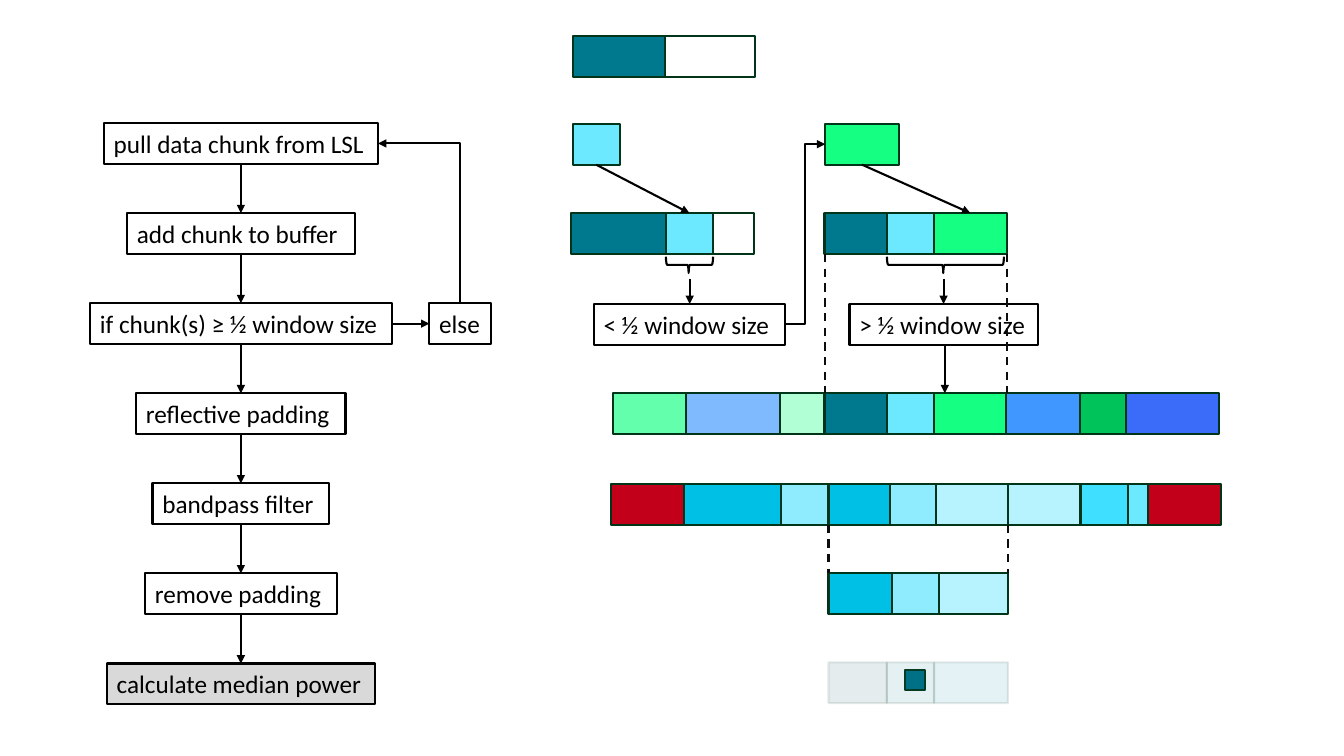
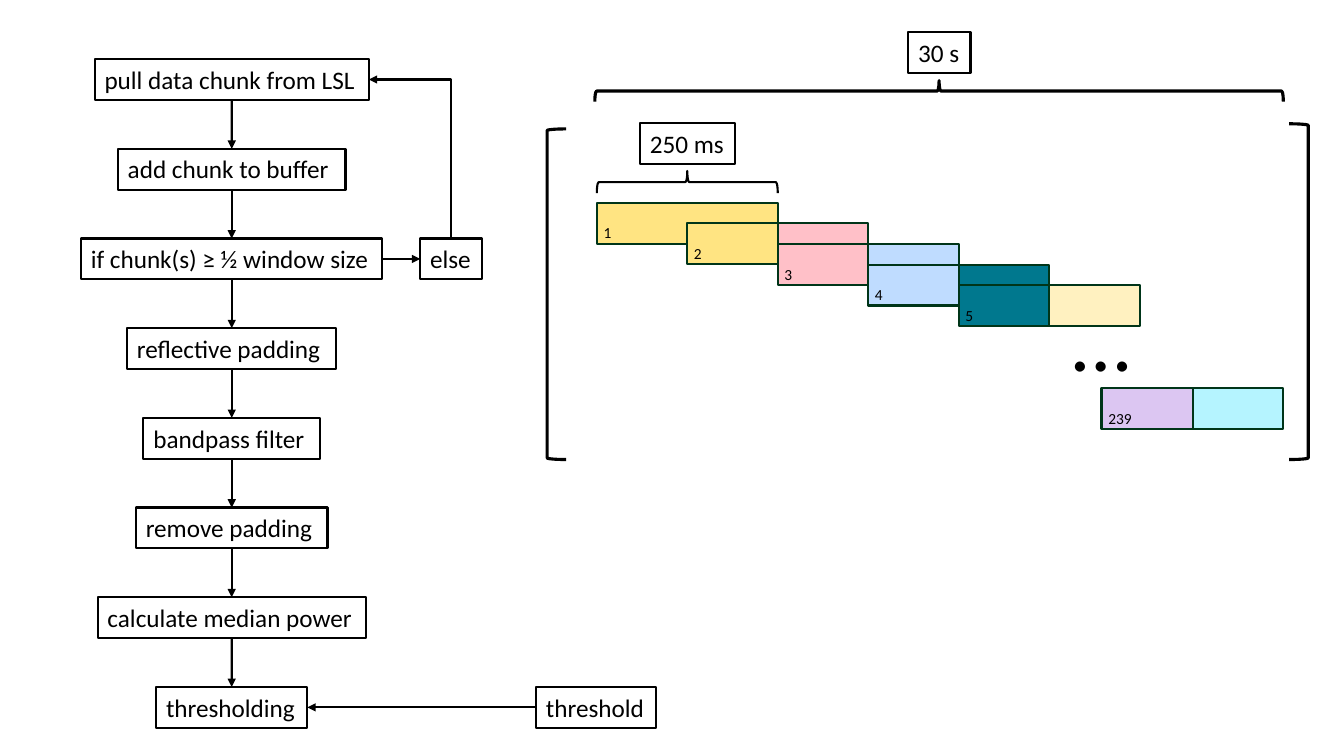
from dataclasses import dataclass
from itertools import pairwise
from typing import NamedTuple

from pptx import Presentation
from pptx.dml.color import RGBColor
from pptx.enum.dml import MSO_LINE
from pptx.enum.shapes import MSO_CONNECTOR, MSO_SHAPE
from pptx.enum.text import MSO_ANCHOR, PP_ALIGN
from pptx.oxml.ns import qn
from pptx.shapes.autoshape import Shape
from pptx.shapes.connector import Connector
from pptx.slide import Slide
from pptx.util import Cm, Pt
from lxml import etree

RECTANGLE = MSO_SHAPE.RECTANGLE
LEFT_BRACE, RIGHT_BRACE = MSO_SHAPE.LEFT_BRACE, MSO_SHAPE.RIGHT_BRACE
LEFT_BRACKET, RIGHT_BRACKET = MSO_SHAPE.LEFT_BRACKET, MSO_SHAPE.RIGHT_BRACKET
STRAIGHT, ELBOW = MSO_CONNECTOR.STRAIGHT, MSO_CONNECTOR.ELBOW
TOP, LEFT, BOTTOM, RIGHT = range(4)  # connection sites of a rectangle


@dataclass(frozen=True)
class Theme:
    font: str = "Calibri"
    body_size: float = 18
    label_size: float = 11
    dots_size: float = 60
    thin: float = 1.5
    thick: float = 2.25
    black: str = "000000"
    dash: str = "0D0D0D"
    edge: str = "003519"
    white: str = "FFFFFF"
    grey: str = "D9D9D9"
    teal: str = "00788E"
    cyan: str = "6CE8FF"
    green: str = "15FF82"
    deep_cyan: str = "00C0E6"
    soft_cyan: str = "8FECFF"
    pale_cyan: str = "B7F3FF"
    red: str = "C20019"
    dot: str = "007086"
    windows: tuple[str, ...] = ("FFE482", "FFE482", "FFC0C8", "BFDCFF", "00788E", "FFF1C0")


class Segment(NamedTuple):
    width: float
    color: str


class FlowStep(NamedTuple):
    text: str
    width: float


THEME = Theme()
BOX_HEIGHT = 1.03
FLOW = (
    FlowStep("pull data chunk from LSL", 6.91),
    FlowStep("add chunk to buffer", 5.74),
    FlowStep("if chunk(s) ≥ ½ window size", 7.6),
    FlowStep("reflective padding", 5.28),
    FlowStep("bandpass filter", 4.45),
    FlowStep("remove padding", 4.83),
    FlowStep("calculate median power", 6.76),
)
THRESHOLDING = FlowStep("thresholding", 3.81)


# Shapes and text
def add_outline(page: Slide, kind: int, left: float, top: float, width: float, height: float,
                line: str = THEME.black, weight: float = THEME.thin, fill: str = "") -> Shape:
    shape = page.shapes.add_shape(kind, Cm(left), Cm(top), Cm(width), Cm(height))
    shape.shadow.inherit = False
    if fill:
        shape.fill.solid()
        shape.fill.fore_color.rgb = RGBColor.from_string(fill)
    else:
        shape.fill.background()
    shape.line.color.rgb = RGBColor.from_string(line)
    shape.line.width = Pt(weight)
    return shape


def write_text(shape: Shape, text: str, size: float) -> None:
    frame = shape.text_frame
    frame.word_wrap = True
    frame.vertical_anchor = MSO_ANCHOR.TOP
    frame.margin_right = 0
    para = frame.paragraphs[0]
    para.text = text
    para.alignment = PP_ALIGN.LEFT
    para.font.name = THEME.font
    para.font.size = Pt(size)
    para.font.color.rgb = RGBColor.from_string(THEME.black)


def add_box(page: Slide, text: str, left: float, top: float, width: float, fill: str = "") -> Shape:
    box = add_outline(page, RECTANGLE, left, top, width, BOX_HEIGHT, fill=fill)
    write_text(box, text, THEME.body_size)
    return box


def add_label(page: Slide, text: str, left: float, top: float, width: float, height: float,
              size: float) -> None:
    label = page.shapes.add_textbox(Cm(left), Cm(top), Cm(width), Cm(height))
    write_text(label, text, size)


def add_band(page: Slide, left: float, top: float, segments: list[Segment],
             opacity: int = 100) -> list[Shape]:
    """Draw touching blocks from left to right."""
    blocks = []
    for width, color in segments:
        block = add_outline(page, RECTANGLE, left, top, width, BOX_HEIGHT, THEME.edge, fill=color)
        if opacity < 100:
            for tint in block._element.spPr.iter(qn("a:srgbClr")):
                etree.SubElement(tint, qn("a:alpha"), val=str(opacity * 1000))
        blocks.append(block)
        left += width
    return blocks


def add_brace(page: Slide, kind: int, left: float, top: float, width: float, height: float,
              weight: float = THEME.thin, tip: float = 0.5) -> None:
    """Draw a brace turned by a quarter, given the area it covers."""
    brace = add_outline(page, kind, left + (width - height) / 2, top + (height - width) / 2,
                        height, width, weight=weight)
    brace.rotation = 90
    brace.adjustments[0] = 0.083
    brace.adjustments[1] = tip


# Connectors
def style_connector(connector: Connector, color: str = THEME.black) -> None:
    connector.line.color.rgb = RGBColor.from_string(color)
    connector.line.width = Pt(THEME.thin)
    etree.SubElement(connector._element.spPr, qn("a:effectLst"))


def add_arrowhead(connector: Connector) -> None:
    etree.SubElement(connector.line._get_or_add_ln(), qn("a:tailEnd"), type="triangle")


def add_link(page: Slide, start: Shape, start_site: int, end: Shape, end_site: int,
             kind: int = STRAIGHT) -> Connector:
    link = page.shapes.add_connector(kind, 0, 0, 0, 0)
    link.begin_connect(start, start_site)
    link.end_connect(end, end_site)
    style_connector(link)
    add_arrowhead(link)
    return link


def add_corner_link(page: Slide, start: Shape, end: Shape) -> None:
    """Run up from the top of start, then left to the side of end."""
    link = add_link(page, start, TOP, end, RIGHT, ELBOW)
    across, rise = link.width, link.height
    left = link.left + (across - rise) // 2
    top = link.top + (rise - across) // 2
    link.left, link.top, link.width, link.height = left, top, rise, across
    properties = link._element.spPr
    properties.find(qn("a:prstGeom")).set("prst", "bentConnector2")
    frame = properties.find(qn("a:xfrm"))
    frame.attrib.clear()
    frame.set("rot", "16200000")
    frame.set("flipV", "1")


def add_vertical(page: Slide, x: float, top: float, bottom: float, dashed: bool = False) -> None:
    line = page.shapes.add_connector(STRAIGHT, Cm(x), Cm(top), Cm(x), Cm(bottom))
    style_connector(line, THEME.dash if dashed else THEME.black)
    if dashed:
        line.line.dash_style = MSO_LINE.DASH
    else:
        add_arrowhead(line)


# Flow chart on the left of both slides
def add_flow(page: Slide, center: float, top: float, pitch: float, steps: tuple[FlowStep, ...],
             last_fill: str = "") -> list[Shape]:
    boxes = [
        add_box(page, step.text, center - step.width / 2, top + row * pitch, step.width,
                last_fill if row == len(steps) - 1 else "")
        for row, step in enumerate(steps)
    ]
    for upper, lower in pairwise(boxes):
        add_link(page, upper, BOTTOM, lower, TOP)
    other = add_box(page, "else", center + 4.75, top + 2 * pitch, 1.55)
    add_link(page, boxes[2], RIGHT, other, LEFT)
    add_corner_link(page, other, boxes[0])
    return boxes


def build_buffer_slide(page: Slide) -> None:
    add_flow(page, 6.07, 3.1, 2.27, FLOW, THEME.grey)
    chunk_top, buffer_top, check_top = 3.12, 5.37, 7.66
    padded_top, filtered_top, trimmed_top = 9.91, 12.19, 14.45
    window_left, window_right = 20.78, 25.37
    trimmed_left, trimmed_right = 20.88, 25.4
    teal, cyan, green = THEME.teal, THEME.cyan, THEME.green
    deep, soft, pale = THEME.deep_cyan, THEME.soft_cyan, THEME.pale_cyan

    # Buffer filling up with chunks
    add_band(page, 14.45, 0.91, [Segment(2.31, teal), Segment(2.26, THEME.white)])
    first_chunk, = add_band(page, 14.43, chunk_top, [Segment(1.19, cyan)])
    first_buffer = add_band(page, 14.4, buffer_top, [
        Segment(2.38, teal), Segment(1.19, cyan), Segment(1.04, THEME.white)])
    second_chunk, = add_band(page, 20.8, chunk_top, [Segment(1.85, green)])
    second_buffer = add_band(page, window_left, buffer_top, [
        Segment(1.57, teal), Segment(1.19, cyan), Segment(1.83, green)])
    add_link(page, first_chunk, BOTTOM, first_buffer[1], TOP)
    add_link(page, second_chunk, BOTTOM, second_buffer[2], TOP)

    # Size checks
    small = add_box(page, "< ½ window size", 14.96, check_top, 4.83)
    add_box(page, "> ½ window size", 21.41, check_top, 4.75)
    add_link(page, small, RIGHT, second_chunk, LEFT, ELBOW)
    for left, width, arrow_x in ((16.78, 1.19, 17.38), (22.35, 2.95, 23.78)):
        add_brace(page, RIGHT_BRACE, left, 6.47, width, 0.41, tip=0.518)
        add_vertical(page, arrow_x, 7.04, check_top)

    # Padded, filtered and trimmed windows
    add_band(page, 15.44, padded_top, [
        Segment(1.85, "63FFAC"), Segment(2.36, "7FBAFF"), Segment(1.13, "B1FFD5"),
        Segment(1.57, teal), Segment(1.19, cyan), Segment(1.82, green),
        Segment(1.85, "4097FF"), Segment(1.17, "00C459"), Segment(2.34, "3B6BF9")])
    add_vertical(page, 23.81, check_top + BOX_HEIGHT, padded_top)
    add_band(page, 15.39, filtered_top, [
        Segment(1.85, THEME.red), Segment(2.45, deep), Segment(1.19, soft),
        Segment(1.55, deep), Segment(1.17, soft), Segment(1.8, pale), Segment(1.83, pale),
        Segment(1.19, "3FDFFF"), Segment(0.51, cyan), Segment(1.85, THEME.red)])
    add_band(page, trimmed_left, trimmed_top, [
        Segment(1.6, deep), Segment(1.18, soft), Segment(1.74, pale)])
    for x in (window_left, window_right):
        add_vertical(page, x, buffer_top + BOX_HEIGHT, padded_top, dashed=True)
    for x in (trimmed_left, trimmed_right):
        add_vertical(page, x, filtered_top + BOX_HEIGHT, trimmed_top, dashed=True)

    # Median of the window
    add_outline(page, RECTANGLE, 22.81, 16.89, 0.51, 0.51, THEME.edge, fill=THEME.dot)
    add_band(page, trimmed_left, 16.69, [
        Segment(1.47, "004D5C"), Segment(1.19, THEME.dot), Segment(1.86, "00849E")], opacity=10)


def build_threshold_slide(page: Slide) -> None:
    boxes = add_flow(page, 5.84, 1.49, 2.26, FLOW + (THRESHOLDING,))
    threshold = add_box(page, "threshold", 13.51, 1.49 + 7 * 2.26, 3.02)
    add_link(page, threshold, LEFT, boxes[-1], RIGHT)

    # Overlapping windows, each half a window further on
    half, drop, first_left, first_top = 2.28, 0.52, 15.04, 5.11
    label_shift, label_drop = -0.08, 0.4
    for index, (color, following) in enumerate(pairwise(THEME.windows)):
        segments = [Segment(half, color), Segment(half, following)]
        if color == following:
            segments = [Segment(2 * half, color)]
        add_band(page, first_left + index * half, first_top + index * drop, segments)
    for index in range(len(THEME.windows) - 1):
        add_label(page, str(index + 1), first_left + index * half + label_shift,
                  first_top + index * drop + label_drop, 0.94, 0.74, THEME.label_size)
    add_label(page, "…", 26.77, 7.11, 1.98, 2.82, THEME.dots_size)
    add_band(page, 27.76, 9.78, [Segment(2.31, "DCC6F2"), Segment(2.26, "B5F4FF")])
    add_label(page, "239", 27.76 + label_shift, 9.78 + label_drop, 1.24, 0.74, THEME.label_size)

    # Durations and brackets
    add_box(page, "250 ms", 16.13, 3.1, 2.39)
    add_brace(page, LEFT_BRACE, first_left, 4.31, 2 * half, 0.56)
    add_box(page, "30 s", 22.89, 0.81, 1.57)
    add_brace(page, LEFT_BRACE, 14.99, 2.03, 17.35, 0.53, THEME.thick)
    add_outline(page, LEFT_BRACKET, 13.79, 3.25, 0.48, 8.33, weight=THEME.thick)
    add_outline(page, RIGHT_BRACKET, 32.49, 3.12, 0.48, 8.46, weight=THEME.thick)


def main() -> None:
    deck = Presentation()
    deck.slide_width, deck.slide_height = Cm(33.87), Cm(19.05)
    blank = deck.slide_layouts[6]
    for build in (build_buffer_slide, build_threshold_slide):
        build(deck.slides.add_slide(blank))
    deck.save("out.pptx")


if __name__ == "__main__":
    main()
